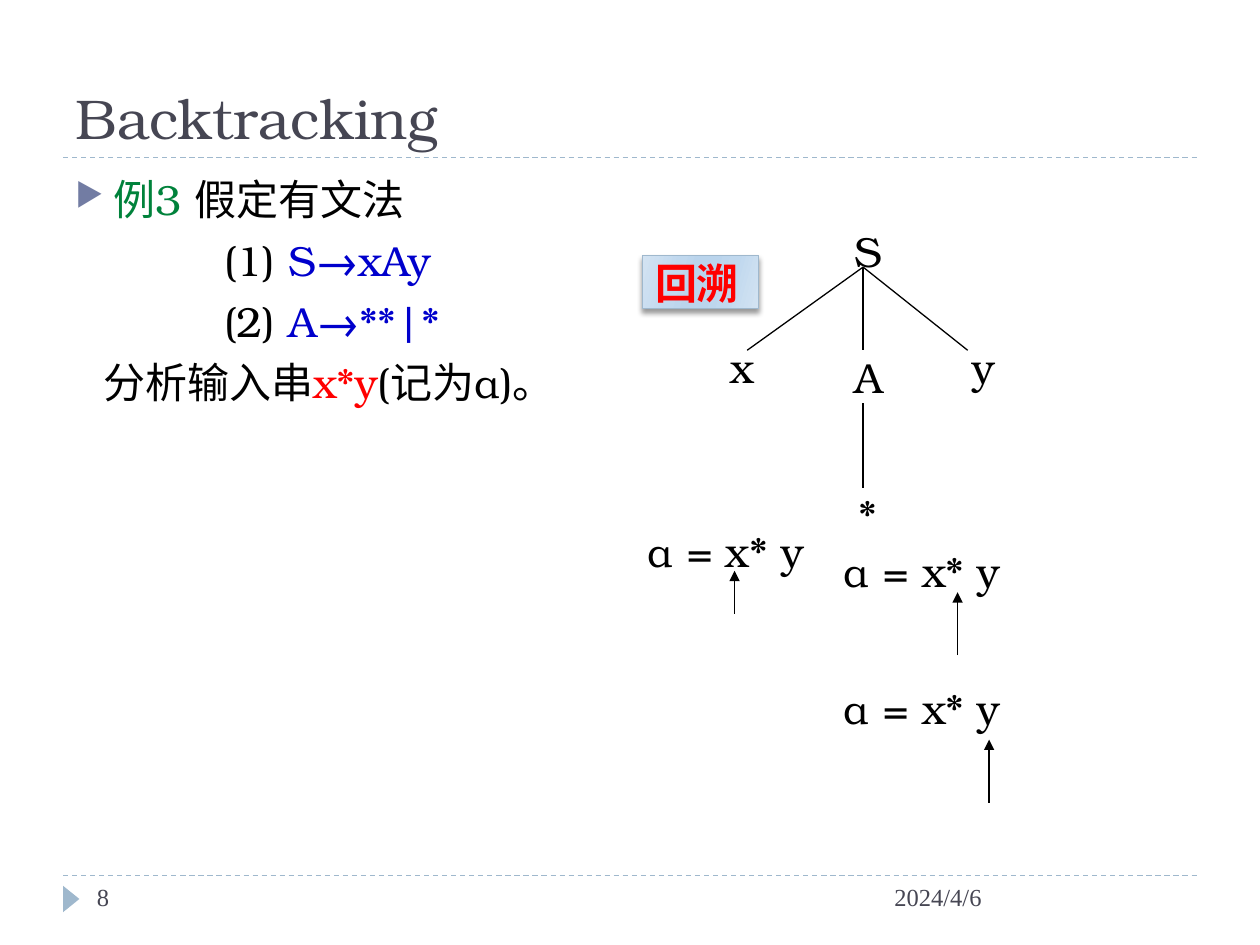
"""Build the Backtracking slide with its grammar example and parse tree."""
import dataclasses

import lxml.etree
import pptx
import pptx.dml.color
import pptx.enum.dml
import pptx.enum.shapes
import pptx.enum.text
import pptx.oxml
import pptx.oxml.ns
import pptx.util


@dataclasses.dataclass(frozen=True)
class Theme:
    serif: str = "TeX Gyre Bonum"
    footer_font: str = "Times New Roman"
    title_size: int = 32
    text_size: int = 24
    footer_size: int = 14
    ink: str = "000000"
    heading: str = "464653"
    green: str = "00823B"
    blue: str = "0000CC"
    red: str = "FF0000"
    bullet: str = "727CA3"
    accent: str = "9FB8CD"


theme = Theme()
PX = 9144
NAMESPACE = 'xmlns:a="http://schemas.openxmlformats.org/drawingml/2006/main"'
RGB = pptx.dml.color.RGBColor.from_string
ANCHOR = pptx.enum.text.MSO_ANCHOR
ALIGN = pptx.enum.text.PP_ALIGN
SHAPE = pptx.enum.shapes.MSO_SHAPE

presentation = pptx.Presentation()
presentation.slide_width = 1000 * PX
presentation.slide_height = 750 * PX
slide = presentation.slides.add_slide(presentation.slide_layouts[5])


def add_run(paragraph, text, color=theme.ink, size=theme.text_size, font=theme.serif, bold=False):
    run = paragraph.add_run()
    run.text = text
    run.font.name = font
    run.font.size = pptx.util.Pt(size)
    run.font.bold = bold
    run.font.color.rgb = RGB(color)


def add_line(start_x, start_y, end_x, end_y, color=theme.ink):
    line = slide.shapes.add_connector(
        pptx.enum.shapes.MSO_CONNECTOR.STRAIGHT,
        start_x * PX, start_y * PX, end_x * PX, end_y * PX)
    line.line.color.rgb = RGB(color)
    line.line.width = pptx.util.Pt(0.75)
    lxml.etree.SubElement(line._element.spPr, pptx.oxml.ns.qn("a:effectLst"))
    return line


for rule_y in (695, 125):
    rule = add_line(50, rule_y, 950, rule_y, theme.accent)
    rule.line.dash_style = pptx.enum.dml.MSO_LINE.DASH

marker = slide.shapes.add_shape(SHAPE.ISOSCELES_TRIANGLE, 46 * PX, 707 * PX, 21 * PX, 13 * PX)
marker.rotation = 90
marker.shadow.inherit = False
marker.fill.solid()
marker.fill.fore_color.rgb = RGB(theme.accent)
marker.line.fill.background()

title = slide.shapes.title
title.left, title.top, title.width, title.height = 50 * PX, 17 * PX, 900 * PX, 108 * PX
title.text_frame.auto_size = pptx.enum.text.MSO_AUTO_SIZE.NONE
title.text_frame.vertical_anchor = ANCHOR.BOTTOM
title_paragraph = title.text_frame.paragraphs[0]
title_paragraph.alignment = ALIGN.LEFT
add_run(title_paragraph, "Backtracking", theme.heading, theme.title_size)

body = slide.shapes.add_textbox(50 * PX, 133 * PX, 900 * PX, 540 * PX)
body.text_frame.word_wrap = True
body_lines = [
    (30, -30, [("例3 ", theme.green), ("假定有文法", theme.ink)]),
    (118, 0, [("(1) ", theme.ink), ("S→xAy", theme.blue)]),
    (118, 0, [("(2) ", theme.ink), ("A→**|*", theme.blue)]),
    (22, 0, [("分析输入串", theme.ink), ("x*y", theme.red), ("(记为α)。", theme.ink)]),
]
for index, (margin, indent, runs) in enumerate(body_lines):
    paragraph = body.text_frame.add_paragraph() if index else body.text_frame.paragraphs[0]
    properties = paragraph._p.get_or_add_pPr()
    properties.set("marL", str(margin * PX))
    properties.set("indent", str(indent * PX))
    if index:
        paragraph.space_before = pptx.util.Pt(6)
    else:
        for bullet_part in (
            f'<a:buClr {NAMESPACE}><a:srgbClr val="{theme.bullet}"/></a:buClr>',
            f'<a:buSzPct {NAMESPACE} val="76000"/>',
            f'<a:buChar {NAMESPACE} char="▶"/>',
        ):
            properties.append(pptx.oxml.parse_xml(bullet_part))
    for text, color in runs:
        add_run(paragraph, text, color)

for left, width, text in ((700, 250, "2024/4/6"), (67, 217, "8")):
    footer = slide.shapes.add_textbox(left * PX, 695 * PX, width * PX, 40 * PX)
    footer.text_frame.word_wrap = True
    add_run(footer.text_frame.paragraphs[0], text, theme.heading,
            theme.footer_size, theme.footer_font)

labels = [
    ("S", 668, 178, 42, 42, ALIGN.CENTER),
    ("x", 568, 270, 42, 42, ALIGN.CENTER),
    ("A", 668, 278, 42, 42, ALIGN.CENTER),
    ("y", 760, 270, 42, 42, ALIGN.CENTER),
    ("*", 668, 387, 42, 42, ALIGN.CENTER),
    ("α = x* y", 476, 412, 200, 50, ALIGN.CENTER),
    ("α = x* y", 660, 428, 160, 50, ALIGN.LEFT),
    ("α = x* y", 660, 537, 160, 50, ALIGN.LEFT),
]
for text, left, top, width, height, alignment in labels:
    label = slide.shapes.add_textbox(left * PX, top * PX, width * PX, height * PX)
    label.text_frame.word_wrap = alignment == ALIGN.LEFT
    label.text_frame.vertical_anchor = ANCHOR.MIDDLE
    label.text_frame.paragraphs[0].alignment = alignment
    add_run(label.text_frame.paragraphs[0], text)

for child_x in (685, 593, 768):
    add_line(685, 212, child_x, 278)
add_line(685, 320, 685, 387)

for pointer_x, tail_y, tip_y in ((583, 487, 453), (760, 520, 470), (785, 637, 587)):
    pointer = add_line(pointer_x, tail_y, pointer_x, tip_y)
    arrowhead = lxml.etree.SubElement(pointer.line._get_or_add_ln(), pptx.oxml.ns.qn("a:tailEnd"))
    arrowhead.set("type", "triangle")

badge = slide.shapes.add_shape(SHAPE.RECTANGLE, 510 * PX, 203 * PX, 92 * PX, 42 * PX)
badge.line.color.rgb = RGB(theme.accent)
badge.line.width = pptx.util.Pt(0.75)
badge.fill.gradient()
badge.fill.gradient_angle = 344
stop_list = badge._element.spPr.find(".//" + pptx.oxml.ns.qn("a:gsLst"))
for stop in list(stop_list):
    stop_list.remove(stop)
for percent, color in ((0, "D3E3F2"), (30, "C0D8EE"), (45, "BAD4EC"),
                       (55, "BAD4EC"), (73, "C0D8EE"), (100, "D3E3F2")):
    stop_list.append(pptx.oxml.parse_xml(
        f'<a:gs {NAMESPACE} pos="{percent * 1000}"><a:srgbClr val="{color}"/></a:gs>'))
badge._element.spPr.append(pptx.oxml.parse_xml(
    f'<a:effectLst {NAMESPACE}><a:outerShdw blurRad="38100" dist="25400" dir="5400000" '
    f'rotWithShape="0"><a:srgbClr val="{theme.ink}"><a:alpha val="40000"/></a:srgbClr>'
    '</a:outerShdw></a:effectLst>'))
badge.text_frame.word_wrap = False
badge.text_frame.vertical_anchor = ANCHOR.MIDDLE
badge.text_frame.paragraphs[0].alignment = ALIGN.LEFT
add_run(badge.text_frame.paragraphs[0], "回溯", theme.red, bold=True)

presentation.save("out.pptx")
